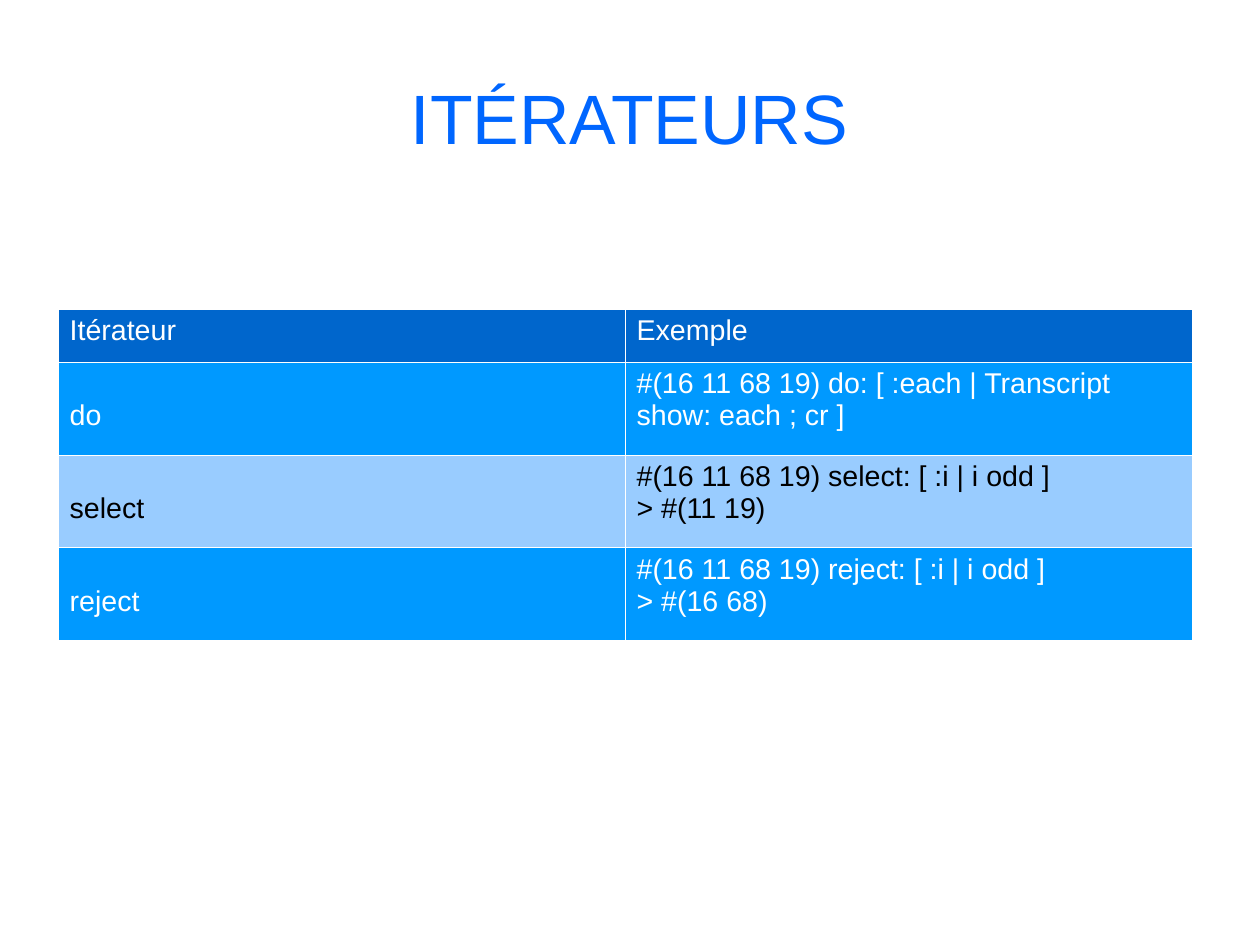
"""Build a slide with a table of collection iterators."""
import pptx
import pptx.dml.color
import pptx.enum.text
import pptx.oxml
import pptx.oxml.ns
import pptx.util
from pptx.util import Inches

TITLE = "ITÉRATEURS"
ROWS = [
    ("Itérateur", "Exemple"),
    ("do", "#(16 11 68 19) do: [ :each | Transcript show: each ; cr ]"),
    ("select", "#(16 11 68 19) select: [ :i | i odd ]\n> #(11 19)"),
    ("reject", "#(16 11 68 19) reject: [ :i | i odd ]\n> #(16 68)"),
]
HEADER = ("0066CC", "FFFFFF")
BANDS = [("0099FF", "FFFFFF"), ("99CCFF", "000000")]
CM_PER_INCH = 2.54
SLIDE_W, SLIDE_H = 28 / CM_PER_INCH, 21 / CM_PER_INCH
HEADER_H, ROW_H, COL_W = 0.47, 0.81, 4.96
PAD_TOP, LINE_H = 0.05, 0.28


def rgb(color):
    return pptx.dml.color.RGBColor.from_string(color)


def style_font(p, size, color):
    p.font.name = "Arial"
    p.font.size = pptx.util.Pt(size)
    p.font.color.rgb = rgb(color)


def add_borders(cell, color="FFFFFF", width=0.06):
    for side in ("lnL", "lnR", "lnT", "lnB"):
        cell._tc.get_or_add_tcPr().append(pptx.oxml.parse_xml(
            f'<a:{side} {pptx.oxml.ns.nsdecls("a")} w="{pptx.util.Pt(width)}">'
            f'<a:solidFill><a:srgbClr val="{color}"/></a:solidFill></a:{side}>'))


def add_title(s):
    title = s.shapes.title
    title.left, title.top = Inches(0.55), Inches(0.33)
    title.width, title.height = Inches(9.92), Inches(1.38)
    tf = title.text_frame
    tf.text = TITLE
    tf.word_wrap = True
    tf.vertical_anchor = pptx.enum.text.MSO_ANCHOR.MIDDLE
    tf.margin_left = tf.margin_right = tf.margin_top = tf.margin_bottom = 0
    p = tf.paragraphs[0]
    p.alignment = pptx.enum.text.PP_ALIGN.CENTER
    style_font(p, 44, "0066FF")


def add_iterators(s):
    heights = [HEADER_H] + [ROW_H] * (len(ROWS) - 1)
    table = s.shapes.add_table(
        len(ROWS), 2, Inches(0.51), Inches(2.7),
        Inches(2 * COL_W), Inches(sum(heights))).table
    for col in table.columns:
        col.width = Inches(COL_W)
    for i, (texts, height) in enumerate(zip(ROWS, heights)):
        table.rows[i].height = Inches(height)
        fill, color = BANDS[(i - 1) % 2] if i else HEADER
        for j, text in enumerate(texts):
            cell = table.cell(i, j)
            cell.text = text
            lowered = i > 0 and j == 0
            cell.margin_top = Inches(PAD_TOP + LINE_H * lowered)
            add_borders(cell)
            cell.fill.solid()
            cell.fill.fore_color.rgb = rgb(fill)
            for p in cell.text_frame.paragraphs:
                style_font(p, 18, color)
                p.font.bold = False


def main():
    prs = pptx.Presentation()
    prs.slide_width, prs.slide_height = Inches(SLIDE_W), Inches(SLIDE_H)
    s = prs.slides.add_slide(prs.slide_layouts[5])
    add_title(s)
    add_iterators(s)
    prs.save("out.pptx")


if __name__ == "__main__":
    main()
